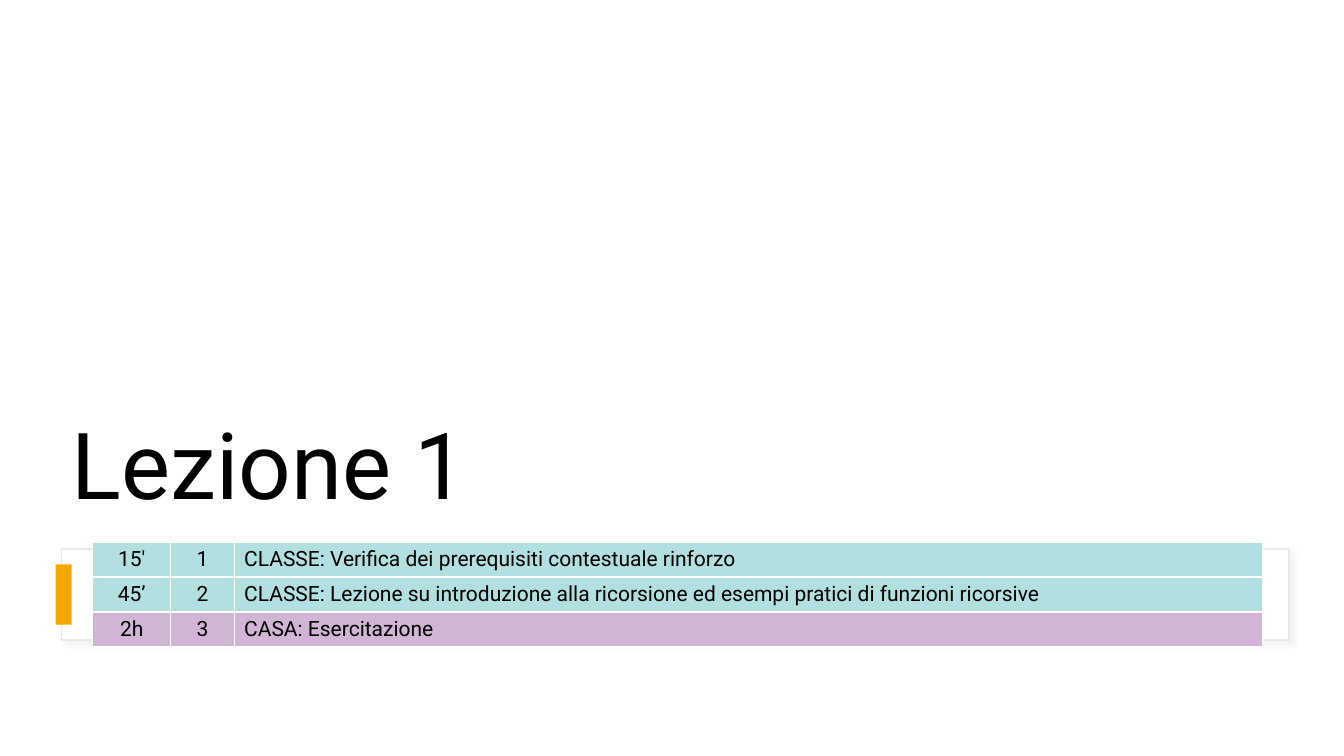
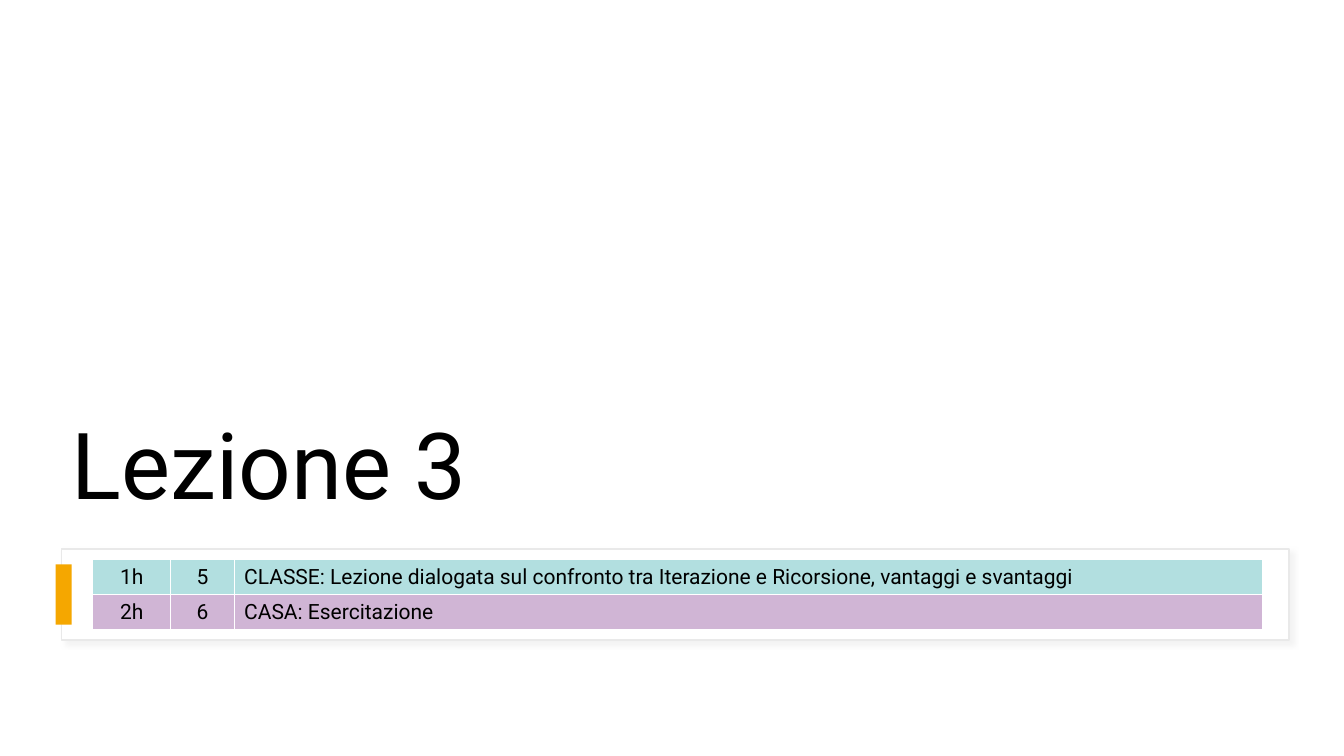
from dataclasses import dataclass

from lxml.etree import SubElement
from pptx import Presentation
from pptx.dml.color import RGBColor
from pptx.enum.shapes import MSO_SHAPE as Preset
from pptx.enum.text import MSO_ANCHOR as Anchor, MSO_AUTO_SIZE as AutoSize, PP_ALIGN as Align
from pptx.oxml.ns import qn
from pptx.shapes.autoshape import Shape
from pptx.slide import Slide
from pptx.table import _Cell as Cell
from pptx.text.text import _Paragraph as Paragraph
from pptx.util import Cm, Pt


@dataclass(frozen=True)
class Theme:
    font: str = "Roboto"
    title_size: float = 66
    table_size: float = 15
    text: str = "000000"
    white: str = "FFFFFF"
    frame_line: str = "E9E9E9"
    shadow: str = "D9D9D9"
    accent: str = "F5A700"
    in_class: str = "B2DFE0"
    at_home: str = "D0B5D5"


@dataclass(frozen=True)
class Activity:
    duration: str
    number: int
    text: str
    fill: str


@dataclass(frozen=True)
class Lesson:
    title: str
    activities: tuple[Activity, ...]


THEME = Theme()
BAND_CENTRE = 14.98  # cm; frame, accent and table share this middle line
COLUMN_WIDTHS = (1.96, 1.6, 25.91)
ROW_HEIGHT = 0.88

LESSONS = (
    Lesson("Lezione 1", (
        Activity("15'", 1, "CLASSE: Verifica dei prerequisiti contestuale rinforzo", THEME.in_class),
        Activity("45’", 2, "CLASSE: Lezione su introduzione alla ricorsione ed esempi pratici "
                 "di funzioni ricorsive", THEME.in_class),
        Activity("2h", 3, "CASA: Esercitazione", THEME.at_home),
    )),
    Lesson("Lezione 3", (
        Activity("1h", 5, "CLASSE: Lezione dialogata sul confronto tra Iterazione e Ricorsione, "
                 "vantaggi e svantaggi", THEME.in_class),
        Activity("2h", 6, "CASA: Esercitazione", THEME.at_home),
    )),
)


def rgb(value: str) -> RGBColor:
    return RGBColor.from_string(value)


def add_run(para: Paragraph, text: str, size: float) -> None:
    span = para.add_run()
    span.text = text
    span.font.name = THEME.font
    span.font.size = Pt(size)
    span.font.color.rgb = rgb(THEME.text)


def add_title(page: Slide, text: str) -> None:
    title = page.shapes.title
    title.left, title.top, title.width, title.height = Cm(1.55), Cm(1.78), Cm(30.25), Cm(11.43)
    frame = title.text_frame
    frame.word_wrap = True
    frame.auto_size = AutoSize.NONE
    frame.vertical_anchor = Anchor.BOTTOM
    para = frame.paragraphs[0]
    para.alignment = Align.LEFT
    para.line_spacing = 0.9
    add_run(para, text, THEME.title_size)


def add_bar(page: Slide, left: float, width: float, height: float, fill: str) -> Shape:
    """Add a plain rectangle centred on the band's middle line."""
    bar = page.shapes.add_shape(Preset.RECTANGLE, Cm(left), Cm(BAND_CENTRE - height / 2),
                                Cm(width), Cm(height))
    bar.shadow.inherit = False
    bar.fill.solid()
    bar.fill.fore_color.rgb = rgb(fill)
    bar.line.fill.background()
    return bar


def add_soft_shadow(shape: Shape) -> None:
    effects = shape._element.spPr.find(qn("a:effectLst"))
    shadow = SubElement(effects, qn("a:outerShdw"), blurRad=str(Pt(4)), dist=str(Pt(3)),
                        dir=str(45 * 60000), algn="tl", rotWithShape="0")
    color = SubElement(shadow, qn("a:srgbClr"), val=THEME.shadow)
    SubElement(color, qn("a:alpha"), val="30000")


def add_band(page: Slide) -> None:
    frame = add_bar(page, 1.55, 30.94, 2.29, THEME.white)
    frame.line.color.rgb = rgb(THEME.frame_line)
    frame.line.width = Pt(1)
    add_soft_shadow(frame)
    add_bar(page, 1.4, 0.41, 1.52, THEME.accent)


def set_borders(cell: Cell) -> None:
    properties = cell._tc.get_or_add_tcPr()
    for side in ("lnL", "lnR", "lnT", "lnB"):
        line = SubElement(properties, qn(f"a:{side}"), w=str(Pt(1)))
        fill = SubElement(line, qn("a:solidFill"))
        SubElement(fill, qn("a:srgbClr"), val=THEME.white)


def fill_cell(cell: Cell, text: str, fill: str, align: Align) -> None:
    set_borders(cell)
    cell.fill.solid()
    cell.fill.fore_color.rgb = rgb(fill)
    para = cell.text_frame.paragraphs[0]
    para.alignment = align
    add_run(para, text, THEME.table_size)


def add_schedule(page: Slide, activities: tuple[Activity, ...]) -> None:
    height = ROW_HEIGHT * len(activities)
    table = page.shapes.add_table(len(activities), len(COLUMN_WIDTHS), Cm(2.34),
                                  Cm(BAND_CENTRE - height / 2), Cm(sum(COLUMN_WIDTHS)),
                                  Cm(height)).table
    table.first_row = table.horz_banding = False
    for column, width in zip(table.columns, COLUMN_WIDTHS):
        column.width = Cm(width)
    for row, activity in zip(table.rows, activities):
        row.height = Cm(ROW_HEIGHT)
        texts = (activity.duration, str(activity.number), activity.text)
        aligns = (Align.CENTER, Align.CENTER, Align.LEFT)
        for cell, text, align in zip(row.cells, texts, aligns):
            fill_cell(cell, text, activity.fill, align)


def main() -> None:
    deck = Presentation()
    deck.slide_width, deck.slide_height = Cm(33.87), Cm(19.05)
    title_only = deck.slide_layouts[5]
    for lesson in LESSONS:
        page = deck.slides.add_slide(title_only)
        add_band(page)
        add_title(page, lesson.title)
        add_schedule(page, lesson.activities)
    deck.save("out.pptx")


if __name__ == "__main__":
    main()
